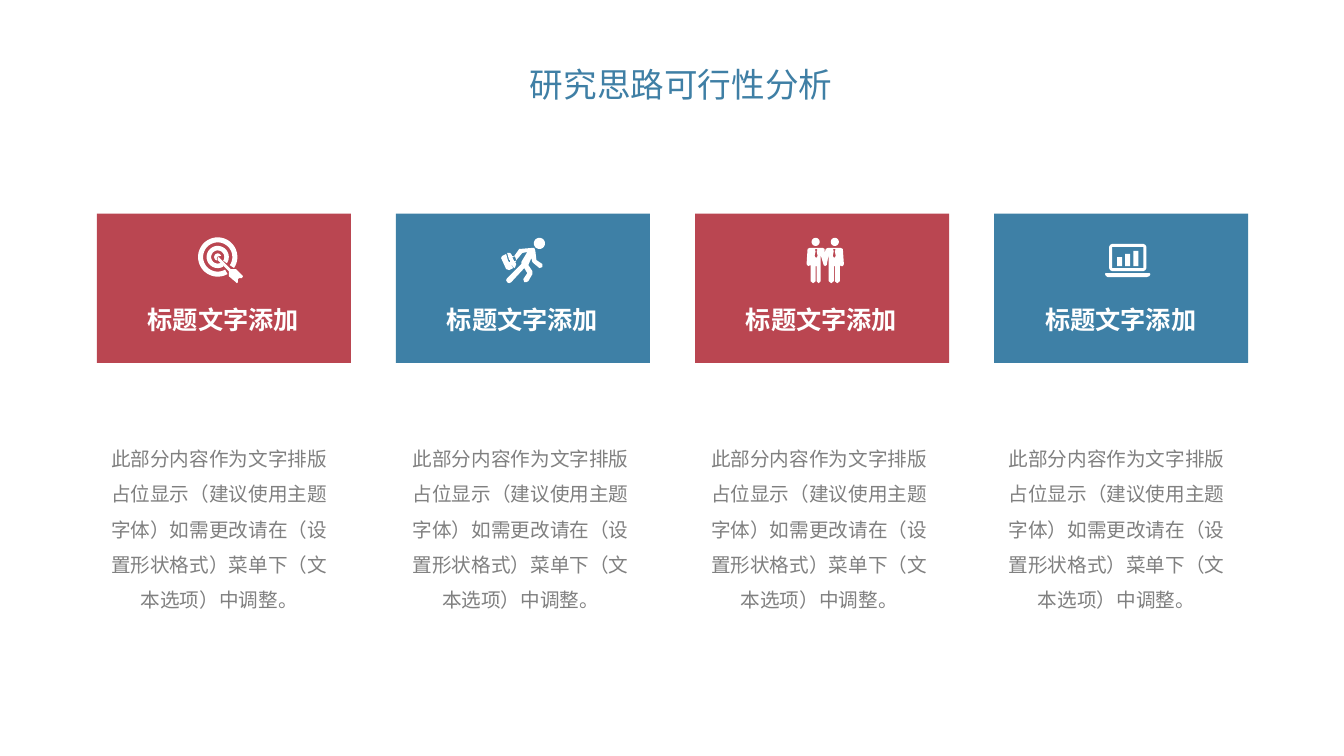
import math

import lxml.etree
import pptx
import pptx.dml.color
import pptx.enum.shapes
import pptx.enum.text
import pptx.oxml.ns
import pptx.util

Inches = pptx.util.Inches
COLORS = {"red": "BA4651", "blue": "3E80A6", "title": "3F7FA5",
          "body": "808080", "white": "FFFFFF"}
HEADING = "标题文字添加"
BODY = ("此部分内容作为文字排版占位显示（建议使用主题字体）"
        "如需更改请在（设置形状格式）菜单下（文本选项）中调整。")


def arc(center_x, center_y, radius, start=0, stop=360, steps=48):
    """Points along an arc, with angles in degrees clockwise from the right."""
    angles = [math.radians(start + (stop - start) * i / steps) for i in range(steps + 1)]
    return [(center_x + radius * math.cos(a), center_y + radius * math.sin(a))
            for a in angles]


def rectangle(left, top, right, bottom):
    return [(left, top), (right, top), (right, bottom), (left, bottom)]


def open_ring(outer, inner):
    """Target ring with a gap at the lower right for the arrow."""
    return arc(20, 19, outer, 34, -300) + arc(20, 19, inner, -300, 34)


def tie(left):
    outline = [(1, 0), (0, 1), (1, 2), (0, 7), (1.5, 9), (3, 7), (2, 2), (3, 1), (2, 0)]
    return [(left + x, 11 + y) for x, y in outline]


# Icon outlines, in hundredths of an inch from the icon's top left corner.
TARGET = [
    open_ring(19.5, 14.5),
    open_ring(11, 6.5),
    arc(20, 19, 3.5, -20, -260) + [(19, 20), (20, 18.5)],
    [(21, 19), (22, 20), (33, 31), (38, 31), (45, 38), (44, 40), (41, 40), (40, 41),
     (40, 44), (39, 45), (38, 44), (31, 38), (31, 33), (20, 22), (20, 20)],
]
RUNNER = [
    [(5, 16), (7, 23), (8, 24), (12, 30), (8, 32), (5, 31), (0, 20), (1, 18)],
    [(9, 15), (10, 16), (11, 18), (12, 18), (13, 19), (11, 19), (13, 23), (14, 23),
     (15, 22), (15, 23), (14, 24), (15, 26), (14, 29), (13, 30), (8, 24), (9, 24),
     (9, 22), (8, 22), (6, 15)],
    [(30, 10), (33, 10), (34, 13), (35, 22), (41, 26), (41, 29), (38, 30), (32, 25),
     (31, 24), (30, 20), (27, 27), (31, 33), (31, 36), (27, 43), (25, 44), (23, 44),
     (22, 41), (26, 35), (23, 30), (10, 44), (8, 45), (6, 44), (5, 42), (6, 40),
     (20, 26), (20, 24), (26, 14), (21, 15), (16, 21), (15, 22), (14, 19), (13, 18),
     (18, 11), (19, 11)],
    arc(38, 5.5, 5.5),
]
PARTNERS = [
    [(3, 10), (16, 10), (18, 11), (18, 15), (19, 11), (21, 10), (34, 10), (36, 11),
     (37, 26), (36, 28), (34, 28), (33, 27), (33, 43), (30.5, 45), (28, 43), (28, 28),
     (27, 28), (27, 43), (24.5, 45), (22, 43), (22, 16), (20, 27), (18.5, 28), (17, 27),
     (14, 17), (14, 43), (12, 45), (10, 43), (10, 28), (9, 28), (9, 43), (6.5, 45),
     (4, 43), (4, 27), (1.5, 28), (0, 26), (1, 11)],
    tie(8), tie(26), arc(9, 4, 4), arc(28, 4, 4),
]
LAPTOP = [
    [(0.5, 29), (44, 29), (45, 30), (44, 32), (41, 33), (3, 33), (1, 32), (0, 30)],
    rectangle(12, 13, 17, 22), rectangle(20, 10, 25, 22), rectangle(28, 7, 33, 22),
    [(7, 0), (38, 0), (40, 1), (41, 3), (41, 24), (40, 26), (38, 27), (7, 27),
     (5, 26), (4, 24), (4, 3), (5, 1)],
    rectangle(7, 3, 38, 24),
]

# Card colour, icon outlines, icon left and top, body left and width.
CARDS = [
    ("red", TARGET, 1.96, 2.36, 0.96, 2.43),
    ("blue", RUNNER, 4.97, 2.36, 3.98, 2.37),
    ("red", PARTNERS, 8.00, 2.36, 6.94, 2.37),
    ("blue", LAPTOP, 10.96, 2.42, 9.89, 2.37),
]
FIRST_LEFT, LAST_LEFT = 0.96, 9.86


class SlideBuilder:
    def __init__(self, deck, font_name):
        self.slide = deck.slides.add_slide(deck.slide_layouts[5])
        self.font_name = font_name

    def color(self, name):
        return pptx.dml.color.RGBColor.from_string(COLORS[name])

    def fill_frame(self, frame, text, size, color, bold=False, spacing=1.0):
        frame.word_wrap = True
        para = frame.paragraphs[0]
        para.alignment = pptx.enum.text.PP_ALIGN.CENTER
        para.line_spacing = spacing
        span = para.add_run()
        span.text = text
        span.font.size = pptx.util.Pt(size)
        span.font.bold = bold
        span.font.color.rgb = self.color(color)
        span.font.name = self.font_name
        east_asian = lxml.etree.SubElement(span._r.get_or_add_rPr(),
                                           pptx.oxml.ns.qn("a:ea"))
        east_asian.set("typeface", self.font_name)

    def title(self, text, left, top, width, height):
        box = self.slide.shapes.title
        box.left, box.top = Inches(left), Inches(top)
        box.width, box.height = Inches(width), Inches(height)
        box.text_frame.vertical_anchor = pptx.enum.text.MSO_ANCHOR.MIDDLE
        self.fill_frame(box.text_frame, text, 24, "title")

    def text(self, text, left, top, width, height, **style):
        box = self.slide.shapes.add_textbox(Inches(left), Inches(top),
                                            Inches(width), Inches(height))
        box.text_frame.auto_size = pptx.enum.text.MSO_AUTO_SIZE.SHAPE_TO_FIT_TEXT
        self.fill_frame(box.text_frame, text, **style)

    def paint(self, shape, color):
        shape.shadow.inherit = False
        shape.fill.solid()
        shape.fill.fore_color.rgb = self.color(color)
        shape.line.fill.background()

    def panel(self, color, left, top, width, height):
        shape = self.slide.shapes.add_shape(
            pptx.enum.shapes.MSO_SHAPE.RECTANGLE,
            Inches(left), Inches(top), Inches(width), Inches(height))
        self.paint(shape, color)

    def icon(self, outlines, left, top):
        contours = [[(Inches(left + x / 100), Inches(top + y / 100)) for x, y in outline]
                    for outline in outlines]
        builder = self.slide.shapes.build_freeform(*contours[0][0])
        for contour in contours:
            if contour is not contours[0]:
                builder.move_to(*contour[0])
            builder.add_line_segments(contour[1:], close=True)
        self.paint(builder.convert_to_shape(), "white")


def main():
    deck = pptx.Presentation()
    deck.slide_width, deck.slide_height = Inches(13.33), Inches(7.5)
    page = SlideBuilder(deck, "Noto Sans CJK SC")
    page.title("研究思路可行性分析", 0.4, 0.53, 12.71, 0.6)
    pitch = (LAST_LEFT - FIRST_LEFT) / (len(CARDS) - 1)
    for index, (color, outlines, icon_left, icon_top, body_left, width) in enumerate(CARDS):
        left = FIRST_LEFT + index * pitch
        page.panel(color, left, 2.12, 2.52, 1.48)
        page.text(HEADING, left + 0.03, 2.91, 2.45, 0.43,
                  size=18, color="white", bold=True, spacing=1.2)
        page.icon(outlines, icon_left, icon_top)
        page.text(BODY, body_left, 4.27, width, 1.87, size=14, color="body", spacing=1.5)
    deck.save("out.pptx")


if __name__ == "__main__":
    main()
